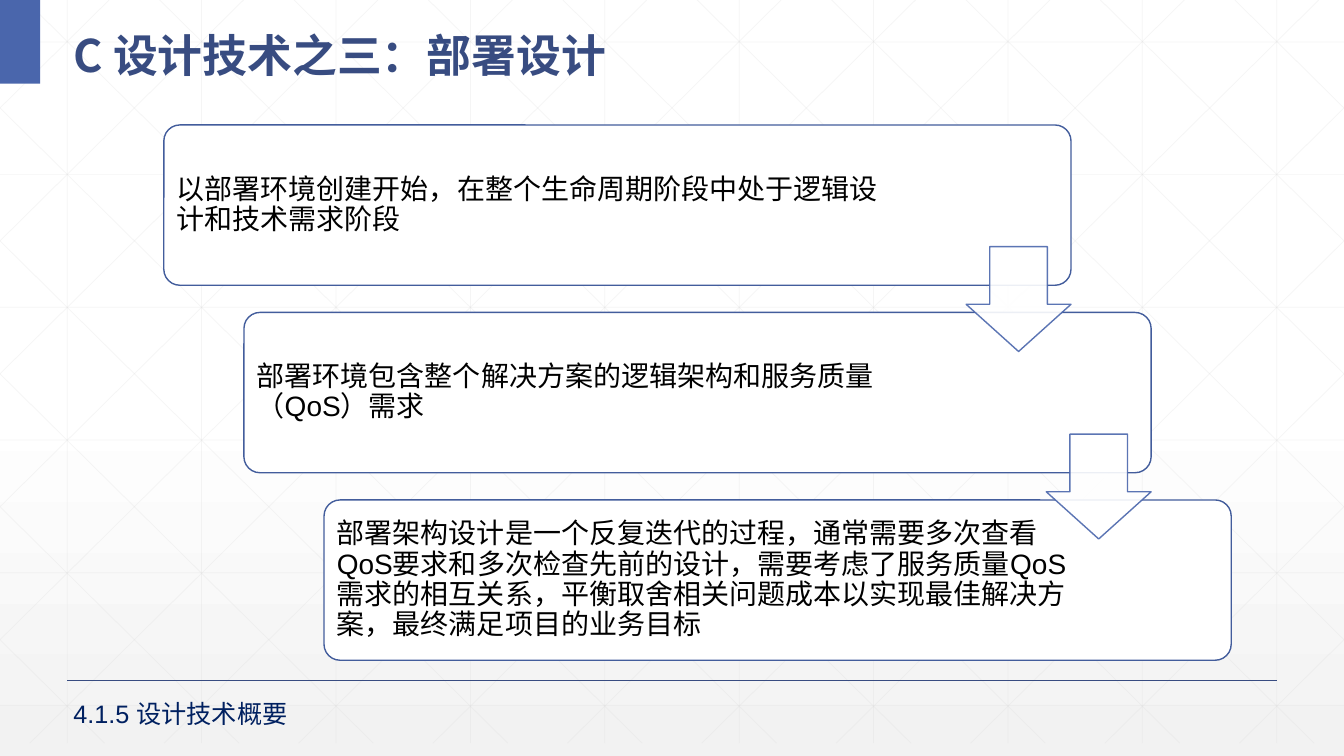
from dataclasses import dataclass

import lxml.etree
import pptx
import pptx.dml.color
import pptx.enum.dml
import pptx.enum.shapes
import pptx.enum.text
import pptx.oxml
import pptx.oxml.ns
import pptx.util

COLORS = {
    "white": "FFFFFF", "fade": "F2F2F2", "mesh": "D9D9D9", "accent": "4A66AC",
    "title": "384C81", "border": "435D9C", "text": "000000", "section": "002060",
}
SLIDE_W, SLIDE_H = pptx.util.Inches(13.333), pptx.util.Inches(7.5)
COLUMNS = ROWS = 100  # all lengths below are in these columns and rows

# Background mesh
MESH_BOTTOM = 98.3
MESH_COLUMN = 10
MESH_ROW_START, MESH_ROW = 5.55, 17.55
DIAGONAL_START, DIAGONAL_RUN = 1.88, 55.9

# Staircase of steps
STEP_LEFT, STEP_TOP = 12.19, 16.53
STEP_RIGHT, STEP_DOWN = 5.96, 24.8
STEP_W, STEP_H = 67.5, 21.2
ARROW_W, ARROW_H, ARROW_DROP = 7.8, 13.87, 16.1


@dataclass(frozen=True)
class Step:
    text: str
    right_margin: float


STEPS = [
    Step("以部署环境创建开始，在整个生命周期阶段中处于逻辑设计和技术需求阶段", 12.82),
    Step("部署环境包含整个解决方案的逻辑架构和服务质量（QoS）需求", 14.32),
    Step("部署架构设计是一个反复迭代的过程，通常需要多次查看QoS要求和多次检查先前的设计，"
         "需要考虑了服务质量QoS需求的相互关系，平衡取舍相关问题成本以实现最佳解决方案，"
         "最终满足项目的业务目标", 9.98),
]


def col(columns: float) -> int:
    return round(SLIDE_W * columns / COLUMNS)


def row(rows: float) -> int:
    return round(SLIDE_H * rows / ROWS)


def rgb(name: str) -> pptx.dml.color.RGBColor:
    return pptx.dml.color.RGBColor.from_string(COLORS[name])


def set_alpha(fill_owner, percent: int) -> None:
    """Make the solid colour inside a fill or line element translucent."""
    color = fill_owner.find(".//" + pptx.oxml.ns.qn("a:srgbClr"))
    alpha = lxml.etree.SubElement(color, pptx.oxml.ns.qn("a:alpha"))
    alpha.set("val", str(percent * 1000))


def draw_line(slide, x1: float, y1: float, x2: float, y2: float,
              color: str, width: float, alpha: int = 100) -> None:
    line = slide.shapes.add_connector(
        pptx.enum.shapes.MSO_CONNECTOR.STRAIGHT, col(x1), row(y1), col(x2), row(y2))
    line.line.color.rgb = rgb(color)
    line.line.width = pptx.util.Pt(width)
    properties = line._element.spPr
    if alpha < 100:
        set_alpha(properties, alpha)
    lxml.etree.SubElement(properties, pptx.oxml.ns.qn("a:effectLst"))


def draw_shape(slide, preset, left: float, top: float, width: float, height: float,
               fill: str, border: str | None = None):
    shape = slide.shapes.add_shape(preset, col(left), row(top), col(width), row(height))
    shape.shadow.inherit = False
    shape.fill.solid()
    shape.fill.fore_color.rgb = rgb(fill)
    if border:
        shape.line.color.rgb = rgb(border)
        shape.line.width = pptx.util.Pt(1)
    else:
        shape.line.fill.background()
    return shape


def write(frame, text: str, size: int, color: str, font: str = "Arial",
          bold: bool = False, spacing: float = 1.0) -> None:
    frame.text = text
    frame.word_wrap = True
    paragraph = frame.paragraphs[0]
    paragraph.alignment = pptx.enum.text.PP_ALIGN.LEFT
    paragraph.line_spacing = spacing
    for run in paragraph.runs:
        run.font.size = pptx.util.Pt(size)
        run.font.bold = bold
        run.font.name = font
        run.font.color.rgb = rgb(color)
        east_asian = lxml.etree.SubElement(run.font._element, pptx.oxml.ns.qn("a:ea"))
        east_asian.set("typeface", "Noto Sans CJK SC")


def draw_background(slide) -> None:
    fill = slide.background.fill
    fill.gradient()
    fill.gradient_angle = 270
    stops = slide.background._cSld.find(".//" + pptx.oxml.ns.qn("a:gsLst"))
    for stop in list(stops):
        stops.remove(stop)
    for position, color, alpha in [(0, "white", 100), (53, "white", 100), (100, "fade", 65)]:
        stops.append(pptx.oxml.parse_xml(
            f'<a:gs {pptx.oxml.ns.nsdecls("a")} pos="{position * 1000}">'
            f'<a:srgbClr val="{COLORS[color]}"><a:alpha val="{alpha * 1000}"/></a:srgbClr></a:gs>'))


def draw_mesh(slide) -> None:
    lines = [(x, 0, x, MESH_BOTTOM) for x in range(5, COLUMNS, MESH_COLUMN)]
    for i in range(6):
        y = MESH_ROW_START + i * MESH_ROW
        lines.append((0, y, COLUMNS, y))
    # Diagonals are clipped at the slide's sides, then mirrored
    slope = MESH_BOTTOM / DIAGONAL_RUN
    for i in range(-5, 10):
        start = DIAGONAL_START + i * MESH_COLUMN
        x1, x2 = max(start, 0), min(start + DIAGONAL_RUN, COLUMNS)
        y1, y2 = (x1 - start) * slope, (x2 - start) * slope
        lines += [(x1, y1, x2, y2), (COLUMNS - x1, y1, COLUMNS - x2, y2)]
    for ends in lines:
        draw_line(slide, *ends, color="mesh", width=0.5, alpha=25)


def draw_title(slide) -> None:
    title = slide.shapes.title
    title.element.getparent().append(title.element)  # bring in front of the mesh
    title.left, title.top = col(4.72), row(1.33)
    title.width, title.height = col(93.15), row(9.73)
    write(title.text_frame, "C 设计技术之三：部署设计", 32, "title",
          font="Noto Sans CJK SC", bold=True, spacing=1.3)
    title.text_frame.vertical_anchor = pptx.enum.text.MSO_ANCHOR.MIDDLE
    title.text_frame.auto_size = pptx.enum.text.MSO_AUTO_SIZE.NONE


def draw_steps(slide) -> None:
    presets = pptx.enum.shapes.MSO_SHAPE
    corners = [(STEP_LEFT + i * STEP_RIGHT, STEP_TOP + i * STEP_DOWN)
               for i in range(len(STEPS))]
    for step, (left, top) in zip(STEPS, corners):
        box = draw_shape(slide, presets.ROUNDED_RECTANGLE, left, top, STEP_W, STEP_H,
                         "white", "border")
        box.adjustments[0] = 0.1
        frame = box.text_frame
        write(frame, step.text, 20, "text", spacing=0.9)
        frame.vertical_anchor = pptx.enum.text.MSO_ANCHOR.MIDDLE
        frame.margin_left, frame.margin_right = col(0.6), col(step.right_margin)
        frame.margin_top = frame.margin_bottom = row(1.1)
    for left, top in corners[:-1]:
        arrow = draw_shape(slide, presets.DOWN_ARROW, left + STEP_W - ARROW_W,
                           top + ARROW_DROP, ARROW_W, ARROW_H, "white", "accent")
        arrow.adjustments[0], arrow.adjustments[1] = 0.55, 0.45
        for solid in arrow._element.spPr.iter(pptx.oxml.ns.qn("a:solidFill")):
            set_alpha(solid, 90)


def draw_section(slide) -> None:
    section = slide.shapes.add_textbox(col(4.72), row(91.73), col(26.5), row(5.33))
    write(section.text_frame, "4.1.5 设计技术概要", 18, "section")
    section.text_frame.auto_size = pptx.enum.text.MSO_AUTO_SIZE.SHAPE_TO_FIT_TEXT


def main() -> None:
    deck = pptx.Presentation()
    deck.slide_width, deck.slide_height = SLIDE_W, SLIDE_H
    slide = deck.slides.add_slide(deck.slide_layouts[5])
    draw_background(slide)
    draw_mesh(slide)
    # Footer rule and corner block
    draw_line(slide, 5, 90, 95, 90, color="title", width=1)
    draw_shape(slide, pptx.enum.shapes.MSO_SHAPE.RECTANGLE, 0, 0, 3, 11.07, "accent")
    draw_title(slide)
    draw_steps(slide)
    draw_section(slide)
    deck.save("out.pptx")


if __name__ == "__main__":
    main()
